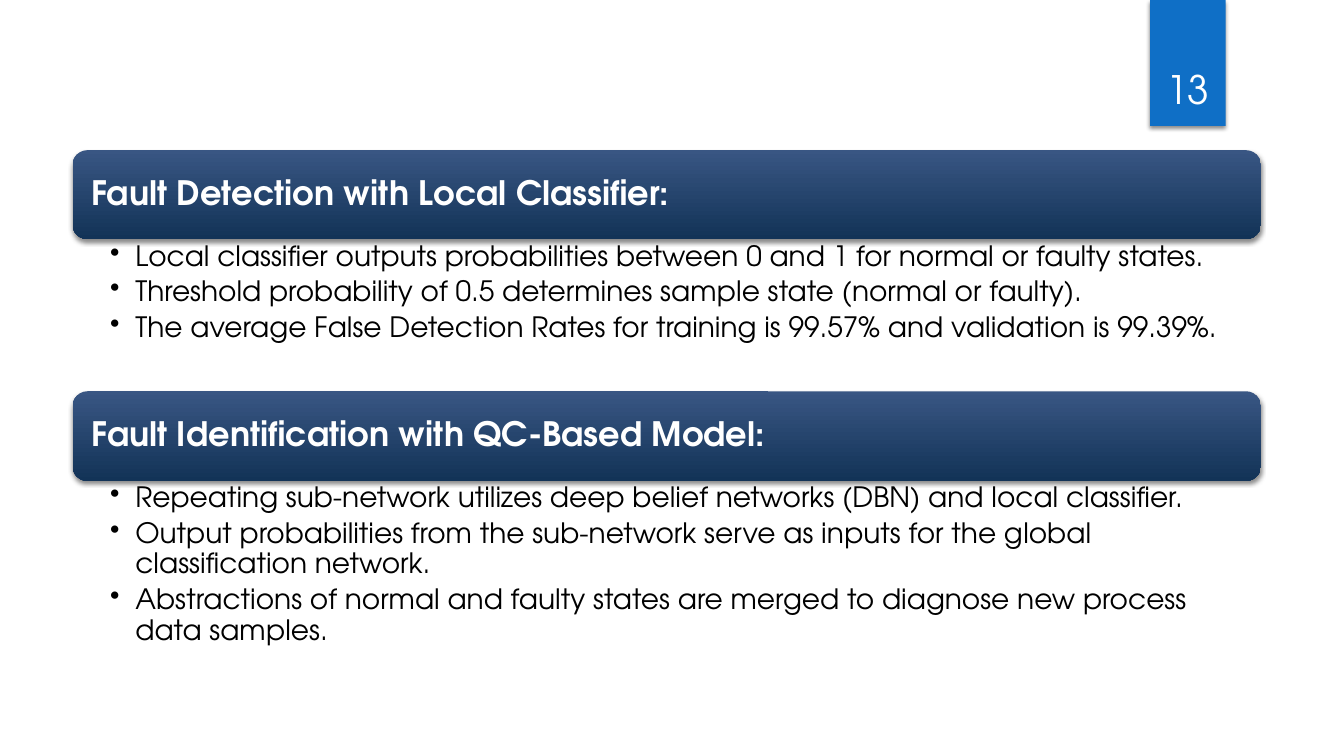
from lxml.etree import SubElement
from pptx import Presentation
from pptx.dml.color import RGBColor
from pptx.enum.shapes import MSO_SHAPE
from pptx.enum.text import MSO_ANCHOR, PP_ALIGN
from pptx.oxml.ns import qn
from pptx.util import Pt

WHITE = RGBColor(0xFF, 0xFF, 0xFF)
BLACK = RGBColor(0, 0, 0)
BLUE = RGBColor(0x0F, 0x6F, 0xC6)
NAVY_TOP = RGBColor(0x39, 0x56, 0x83)
NAVY_LOW = RGBColor(0x12, 0x33, 0x57)
FACE = "TeX Gyre Adventor"
LEFT, WIDE = 51.8, 848.9

TOPICS = [
    (107.3, 63.5, 108.7, "Fault Detection with Local Classifier:", [
        "Local classifier outputs probabilities between 0 and 1 for normal or faulty states.",
        "Threshold probability of 0.5 determines sample state (normal or faulty).",
        "The average False Detection Rates for training is 99.57% and validation is 99.39%.",
    ]),
    (279.5, 64, 124.6, "Fault Identification with QC-Based Model:", [
        "Repeating sub-network utilizes deep belief networks (DBN) and local classifier.",
        "Output probabilities from the sub-network serve as inputs for the global "
        "classification network.",
        "Abstractions of normal and faulty states are merged to diagnose new process "
        "data samples.",
    ]),
]


def style(item, **values):
    for name, value in values.items():
        setattr(item, name, value)


def add_shade(shape):
    shape.shadow.inherit = False
    effects = shape.element.spPr.find(qn("a:effectLst"))
    shade = SubElement(effects, qn("a:outerShdw"), blurRad=str(Pt(3)),
                       dist=str(Pt(2)), dir="5400000", rotWithShape="0")
    color = SubElement(shade, qn("a:srgbClr"), val="000000")
    SubElement(color, qn("a:alpha"), val="45000")


def add_text(para, text, size, color, bold=False):
    run = para.add_run()
    run.text = text
    style(run.font, name=FACE, size=Pt(size), bold=bold)
    run.font.color.rgb = color


def add_block(slide, kind, box):
    shape = slide.shapes.add_shape(kind, *map(Pt, box))
    shape.line.fill.background()
    add_shade(shape)
    return shape


def add_tag(slide, text):
    tag = add_block(slide, MSO_SHAPE.RECTANGLE, (821.5, 0, 54, 90))
    tag.fill.solid()
    tag.fill.fore_color.rgb = BLUE
    style(tag.text_frame, vertical_anchor=MSO_ANCHOR.BOTTOM, word_wrap=True,
          margin_left=0, margin_right=0, margin_bottom=Pt(10))
    para = tag.text_frame.paragraphs[0]
    para.alignment = PP_ALIGN.CENTER
    add_text(para, text, 28, WHITE)


def add_bar(slide, top, high, text):
    bar = add_block(slide, MSO_SHAPE.ROUNDED_RECTANGLE, (LEFT, top, WIDE, high))
    bar.fill.gradient()
    bar.fill.gradient_angle = 270
    for stop, color in zip(bar.fill.gradient_stops, (NAVY_TOP, NAVY_LOW)):
        stop.color.rgb = color
    style(bar.text_frame, vertical_anchor=MSO_ANCHOR.MIDDLE, word_wrap=True,
          margin_left=Pt(10.3), margin_right=Pt(10.3))
    para = bar.text_frame.paragraphs[0]
    style(para, alignment=PP_ALIGN.LEFT, line_spacing=0.9)
    add_text(para, text, 24, WHITE, True)


def add_list(slide, top, high, lines):
    frame = slide.shapes.add_textbox(*map(Pt, (LEFT, top, WIDE, high))).text_frame
    style(frame, word_wrap=True, margin_left=Pt(26.9), margin_right=Pt(11.5),
          margin_top=Pt(2), margin_bottom=Pt(2))
    for index, line in enumerate(lines):
        para = frame.add_paragraph() if index else frame.paragraphs[0]
        style(para, level=1, line_spacing=0.9, space_after=Pt(4))
        props = para._p.get_or_add_pPr()
        props.set("marL", str(Pt(18)))
        props.set("indent", str(Pt(-18)))
        SubElement(props, qn("a:buChar"), char="•")
        add_text(para, line, 20, BLACK)


def main():
    deck = Presentation()
    style(deck, slide_width=Pt(960), slide_height=Pt(540))
    slide = deck.slides.add_slide(deck.slide_layouts[6])
    add_tag(slide, "13")
    for top, high, depth, head, lines in TOPICS:
        add_bar(slide, top, high, head)
        add_list(slide, top + high, depth, lines)
    deck.save("out.pptx")


if __name__ == "__main__":
    main()
